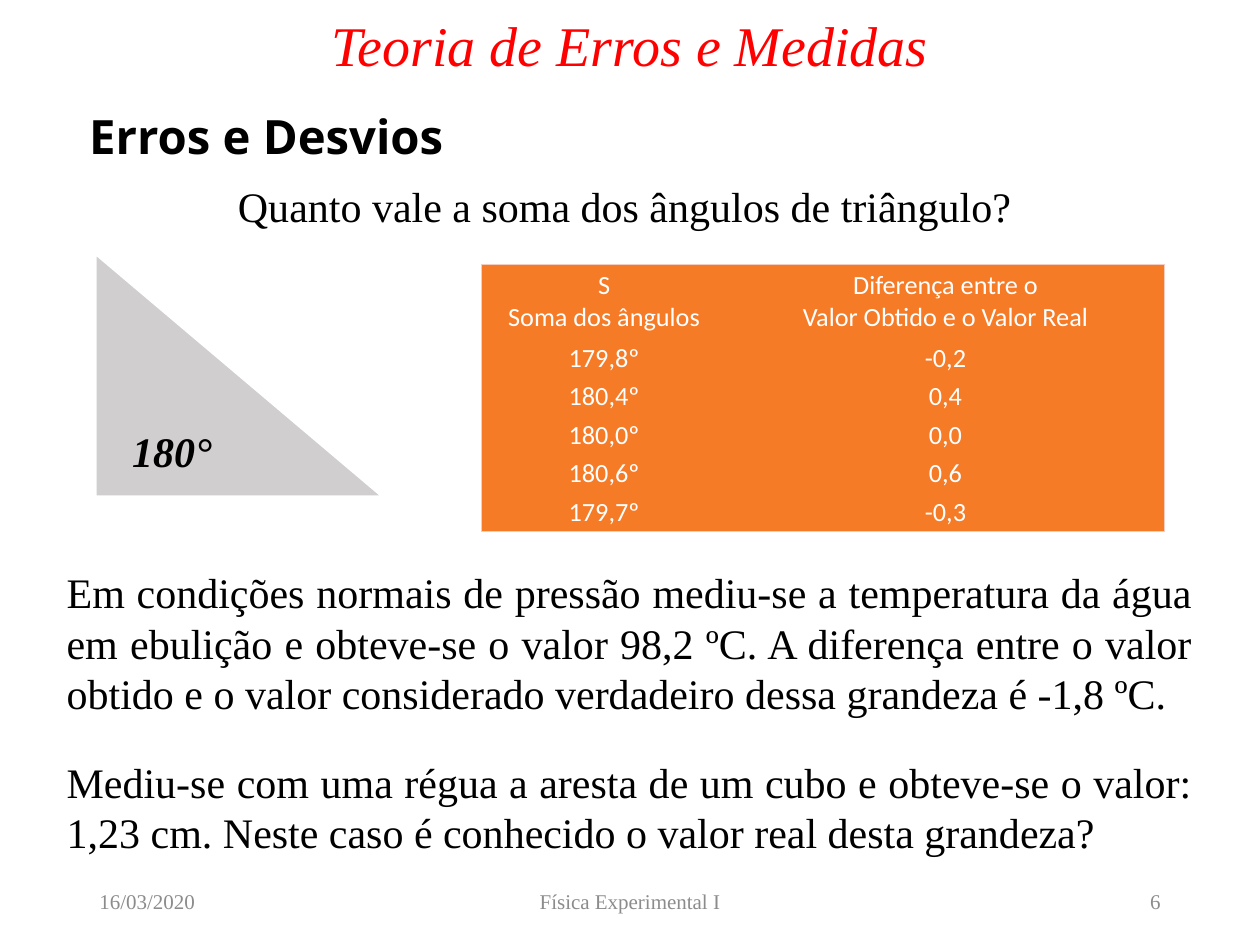
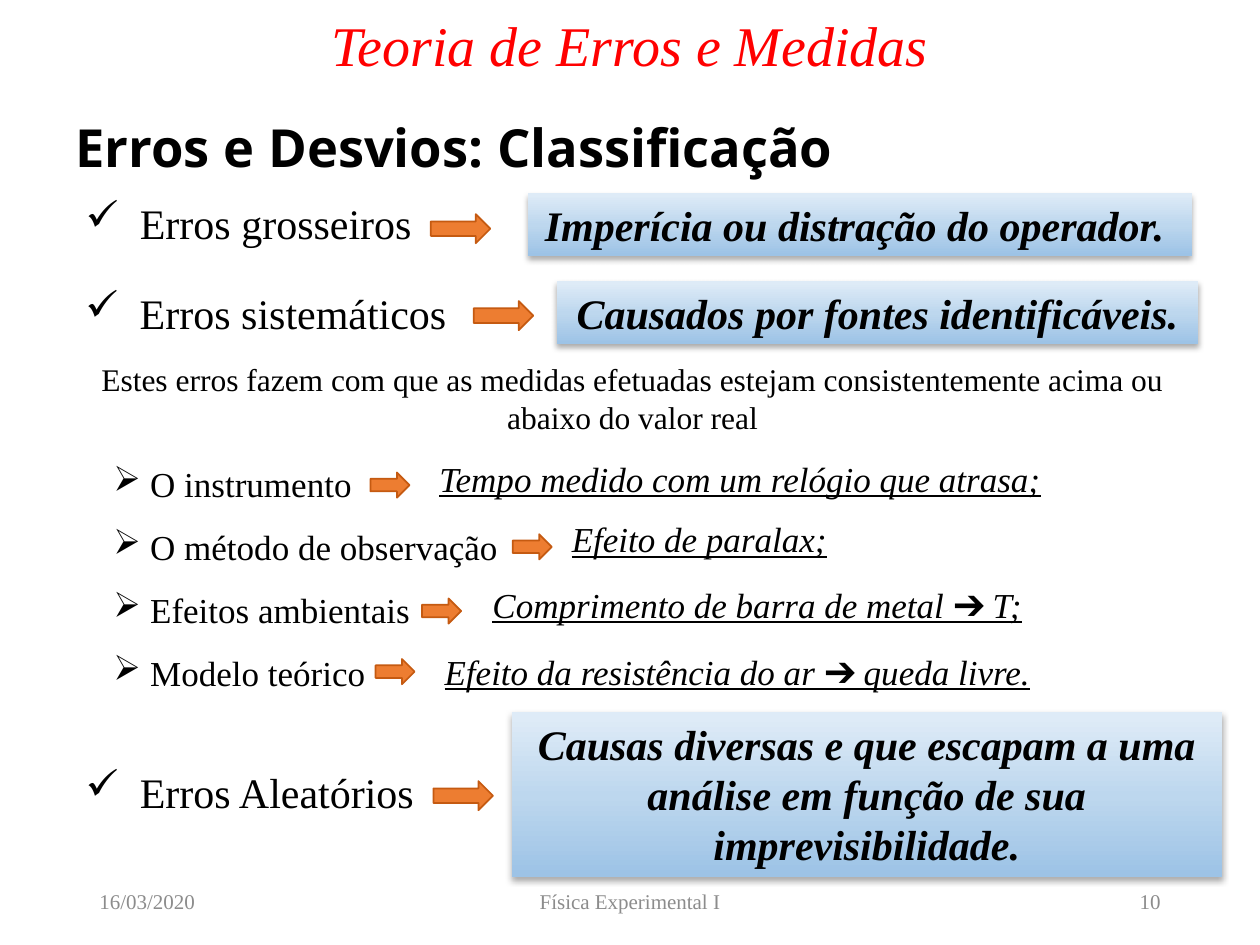
from dataclasses import dataclass
from typing import NamedTuple

from lxml.etree import SubElement
from pptx import Presentation
from pptx.dml.color import RGBColor
from pptx.enum.shapes import MSO_SHAPE as Shape
from pptx.enum.text import MSO_ANCHOR as Anchor, PP_ALIGN as Align
from pptx.oxml.ns import qn
from pptx.util import Pt


@dataclass(frozen=True)
class Theme:
    serif: str = "Times New Roman"
    heading_font: str = "Open Sans"
    table_font: str = "Calibri"
    black: str = "000000"
    white: str = "FFFFFF"
    red: str = "FF0000"
    footer_grey: str = "8C8C8C"
    triangle_grey: str = "D0CECE"
    table_orange: str = "F57B27"
    table_border: str = "F6CCBE"
    arrow_fill: str = "ED7D31"
    arrow_line: str = "C55A11"
    panel_stops: tuple = ((3, "DEEBF7"), (51, "BDD7EE"), (99, "9DC3E6"))
    title: int = 32
    body: int = 24
    item: int = 20
    note: int = 18
    cell: int = 15
    footer: int = 12


T = Theme()


class Box(NamedTuple):
    x: float
    y: float
    w: float
    h: float

    def lengths(self):
        return [Pt(v) for v in self]


class ErrorKind(NamedTuple):
    name: str
    label: Box
    arrow: Box
    cause: str
    panel: Box


class Example(NamedTuple):
    source: str
    arrow: Box
    text: str
    box: Box


BIG_ARROW = (34, 16.6)
SMALL_ARROW = (22.3, 14.4)
LABEL_TEXT_X = 80
LABEL_HANG = 31
INSET = 7.2

ERROR_KINDS = [
    ErrorKind("Erros grosseiros", Box(38.2, 109.4, 208, 36),
              Box(246.2, 122.4, *BIG_ARROW),
              "Imperícia ou distração do operador. ", Box(301.7, 110.2, 379.4, 36)),
    ErrorKind("Erros sistemáticos", Box(39.6, 160.6, 224, 36),
              Box(270.7, 172.1, *BIG_ARROW),
              "Causados por fontes identificáveis.", Box(318.2, 160.6, 366.5, 36)),
    ErrorKind("Erros Aleatórios", Box(22.3, 434.2, 240.5, 36),
              Box(247.7, 446.4, *BIG_ARROW),
              "Causas diversas e que escapam a uma análise em função de sua "
              "imprevisibilidade.", Box(292.3, 406.8, 406, 94.3)),
]

EXAMPLES = [
    Example("O instrumento", Box(211.7, 270, *SMALL_ARROW),
            "Tempo medido com um relógio que atrasa;", Box(244, 257.8, 429, 31.7)),
    Example("O método de observação", Box(293, 305.3, *SMALL_ARROW),
            "Efeito de paralax;", Box(319.7, 292.3, 299.5, 31.7)),
    Example("Efeitos ambientais", Box(241.2, 342, *SMALL_ARROW),
            "Comprimento de barra de metal ➔ T;", Box(274.3, 329.8, 390.2, 31.7)),
    Example("Modelo teórico", Box(214.6, 376.6, *SMALL_ARROW),
            "Efeito da resistência do ar ➔ queda livre.", Box(247, 367.9, 419.8, 31.7)),
]

ANGLE_ROWS = [
    ("S\nSoma dos ângulos", "Diferença entre o\nValor Obtido e o Valor Real"),
    ("179,8º", "-0,2"),
    ("180,4º", "0,4"),
    ("180,0º", "0,0"),
    ("180,6º", "0,6"),
    ("179,7º", "-0,3"),
]


def rgb(color: str) -> RGBColor:
    return RGBColor.from_string(color)


def write(tf, text: str, *, size: float = T.body, font: str = T.serif,
          color: str = T.black, bold: bool = False, italic: bool = False,
          underline: bool = False, align=Align.LEFT, spacing: float = 1.0,
          bullet: str = "", margin: float = 0, hang: float = 0) -> None:
    """Fill a text frame with one paragraph per line of text."""
    for i, line in enumerate(text.split("\n")):
        p = tf.paragraphs[0] if i == 0 else tf.add_paragraph()
        p.alignment = align
        p.line_spacing = spacing
        if bullet:
            pPr = p._p.get_or_add_pPr()
            pPr.set("marL", str(Pt(margin)))
            pPr.set("indent", str(-Pt(hang)))
            SubElement(pPr, qn("a:buChar"), char=bullet)
        r = p.add_run()
        r.text = line
        f = r.font
        f.name, f.size, f.color.rgb = font, Pt(size), rgb(color)
        f.bold, f.italic, f.underline = bold, italic, underline


def add_text(s, box: Box, text: str, *, anchor=Anchor.TOP, wrap: bool = True,
             inset: tuple = (INSET, 3.6), **style) -> None:
    tf = s.shapes.add_textbox(*box.lengths()).text_frame
    tf.word_wrap = wrap
    tf.vertical_anchor = anchor
    tf.margin_left = tf.margin_right = Pt(inset[0])
    tf.margin_top = tf.margin_bottom = Pt(inset[1])
    write(tf, text, **style)


def add_solid(s, kind, box: Box, fill: str, line: str) -> None:
    sp = s.shapes.add_shape(kind, *box.lengths())
    sp.shadow.inherit = False
    sp.fill.solid()
    sp.fill.fore_color.rgb = rgb(fill)
    sp.line.color.rgb = rgb(line)
    sp.line.width = Pt(1)


def add_arrow(s, box: Box) -> None:
    add_solid(s, Shape.RIGHT_ARROW, box, T.arrow_fill, T.arrow_line)


def add_panel(s, box: Box, text: str) -> None:
    """Add a blue gradient panel with a soft shadow below it."""
    sp = s.shapes.add_shape(Shape.RECTANGLE, *box.lengths())
    sp.line.fill.background()
    sp.fill.gradient()
    sp.fill.gradient_angle = 270
    spPr = sp.element.spPr
    stops = spPr.find(qn("a:gradFill")).find(qn("a:gsLst"))
    for stop in list(stops):
        stops.remove(stop)
    for position, color in T.panel_stops:
        stop = SubElement(stops, qn("a:gs"), pos=str(position * 1000))
        SubElement(stop, qn("a:srgbClr"), val=color)
    sp.shadow.inherit = False
    shadow = SubElement(spPr.find(qn("a:effectLst")), qn("a:outerShdw"),
                        blurRad=str(Pt(3.5)), dist=str(Pt(2.2)),
                        dir="5400000", algn="t", rotWithShape="0")
    shade = SubElement(shadow, qn("a:srgbClr"), val=T.black)
    SubElement(shade, qn("a:alpha"), val="32000")
    tf = sp.text_frame
    tf.word_wrap = True
    tf.vertical_anchor = Anchor.TOP
    write(tf, text, bold=True, italic=True, align=Align.CENTER)


def set_borders(cell, visible: dict) -> None:
    tcPr = cell._tc.get_or_add_tcPr()
    for i, (side, shown) in enumerate(visible.items()):
        ln = SubElement(tcPr, qn(f"a:ln{side}"), w=str(Pt(0.5)))
        if shown:
            SubElement(SubElement(ln, qn("a:solidFill")), qn("a:srgbClr"),
                       val=T.table_border)
        else:
            SubElement(ln, qn("a:noFill"))
        tcPr.insert(i, ln)


def add_angle_table(s, box: Box) -> None:
    rows, cols = len(ANGLE_ROWS), len(ANGLE_ROWS[0])
    table = s.shapes.add_table(rows, cols, *box.lengths()).table
    table.first_row = table.horz_banding = False
    for column, width in zip(table.columns, (140.4, 249.8)):
        column.width = Pt(width)
    for i, texts in enumerate(ANGLE_ROWS):
        table.rows[i].height = Pt(42.5 if i == 0 else 22)
        for j, text in enumerate(texts):
            cell = table.cell(i, j)
            cell.fill.solid()
            cell.fill.fore_color.rgb = rgb(T.table_orange)
            cell.vertical_anchor = Anchor.MIDDLE
            cell.margin_left = cell.margin_right = Pt(0.7)
            cell.margin_top = cell.margin_bottom = Pt(0.7)
            write(cell.text_frame, text, size=T.cell, font=T.table_font,
                  color=T.white, align=Align.CENTER)
            set_borders(cell, {"L": j == 0, "R": j == cols - 1,
                               "T": i == 0, "B": i == rows - 1})


def add_base(prs, number: int):
    """Add a slide with the course title and footer."""
    s = prs.slides.add_slide(prs.slide_layouts[6])
    add_text(s, Box(0, -24.5, 720, 104.4), "Teoria de Erros e Medidas",
             anchor=Anchor.MIDDLE, size=T.title, color=T.red, italic=True,
             align=Align.CENTER, spacing=0.9)
    for x, w, text, align in [(49.7, 162, "16/03/2020", Align.LEFT),
                              (238.3, 243.4, "Física Experimental I", Align.CENTER),
                              (508.3, 162, str(number), Align.RIGHT)]:
        add_text(s, Box(x, 500.4, w, 28.8), text, anchor=Anchor.MIDDLE,
                 size=T.footer, color=T.footer_grey, align=align)
    return s


def add_heading(s, box: Box, text: str, size: float) -> None:
    add_text(s, box, text, anchor=Anchor.MIDDLE, inset=(5, 2.9), size=size,
             font=T.heading_font, bold=True, align=Align.JUSTIFY)


def build_deviations(prs) -> None:
    s = add_base(prs, 6)
    add_heading(s, Box(46, 54.7, 240.5, 46), "Erros e Desvios", 27)
    add_solid(s, Shape.RIGHT_TRIANGLE, Box(54.7, 145.4, 163.4, 138.2),
              T.triangle_grey, T.white)
    add_text(s, Box(128.9, 99.4, 460, 36),
             "Quanto vale a soma dos ângulos de triângulo?", wrap=False)
    add_angle_table(s, Box(275, 151.2, 390.2, 152.5))
    add_text(s, Box(68.4, 239.8, 60.5, 36), "180°", wrap=False,
             bold=True, italic=True)
    add_text(s, Box(31, 320.4, 657.4, 94.3),
             "Em condições normais de pressão mediu-se a temperatura da água em "
             "ebulição e obteve-se o valor 98,2 ºC. A diferença entre o valor "
             "obtido e o valor considerado verdadeiro dessa grandeza é -1,8 ºC. ",
             align=Align.JUSTIFY)
    add_text(s, Box(31, 428.6, 657.4, 65.5),
             "Mediu-se com uma régua a aresta de um cubo e obteve-se o valor: "
             "1,23 cm. Neste caso é conhecido o valor real desta grandeza? ",
             align=Align.JUSTIFY)


def build_classification(prs) -> None:
    s = add_base(prs, 10)
    add_heading(s, Box(38.2, 59.8, 486, 47.5), "Erros e Desvios: Classificação", 30)
    for kind in ERROR_KINDS:
        add_text(s, kind.label, kind.name, bullet="✓", hang=LABEL_HANG,
                 margin=LABEL_TEXT_X - INSET - kind.label.x)
        add_panel(s, kind.panel, kind.cause)
        add_arrow(s, kind.arrow)
    add_text(s, Box(38.2, 202.3, 646.6, 51),
             "Estes erros fazem com que as medidas efetuadas estejam "
             "consistentemente acima ou abaixo do valor real",
             size=T.note, align=Align.CENTER)
    add_text(s, Box(59.8, 251.3, 310.3, 146.2),
             "\n".join(example.source for example in EXAMPLES),
             anchor=Anchor.MIDDLE, inset=(5, 2.9), size=T.item,
             align=Align.JUSTIFY, spacing=1.5, bullet="➢", margin=21, hang=21)
    for example in EXAMPLES:
        add_text(s, example.box, example.text, size=T.item, italic=True,
                 underline=True)
        add_arrow(s, example.arrow)


def main() -> None:
    prs = Presentation()
    prs.slide_width, prs.slide_height = Pt(720), Pt(540)
    build_deviations(prs)
    build_classification(prs)
    prs.save("out.pptx")


if __name__ == "__main__":
    main()
